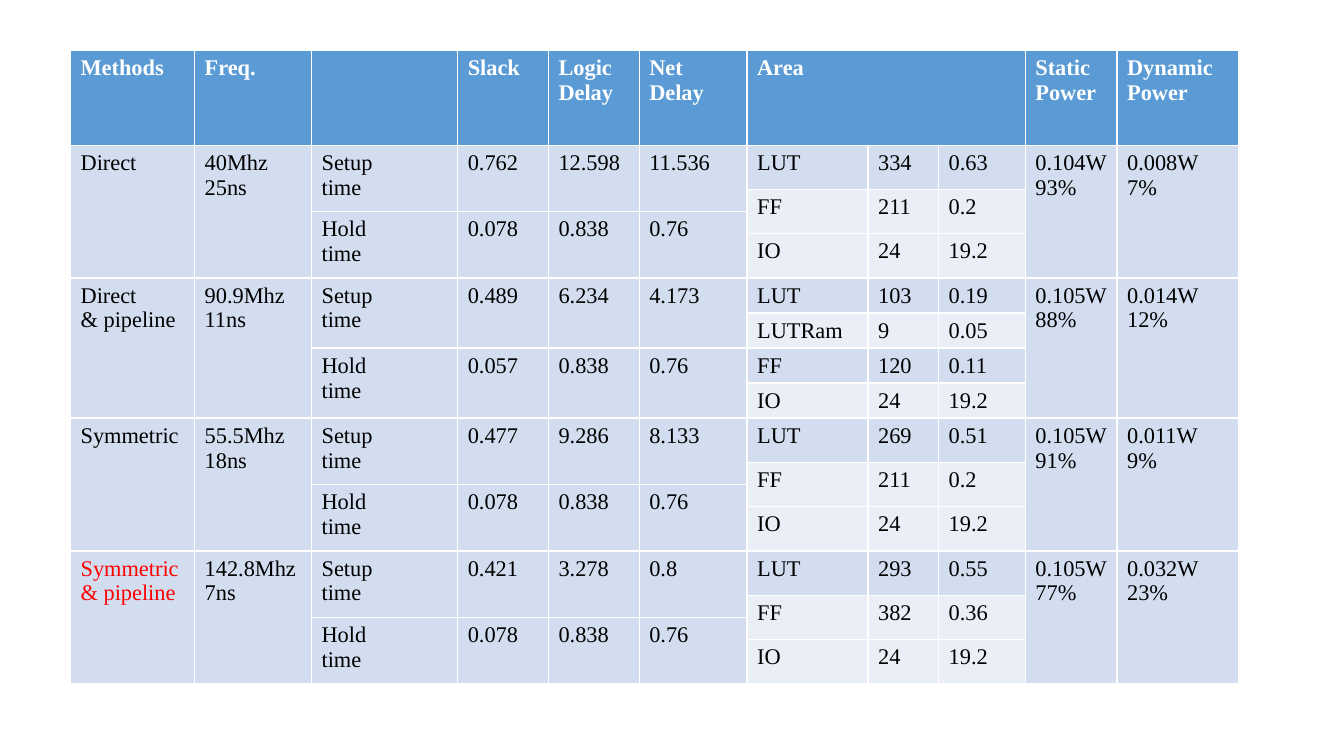
import pptx
import pptx.dml.color
import pptx.util

Inches = pptx.util.Inches

COLORS = {"header": "5B9BD5", "band": "D2DEEF", "light": "EAEFF7",
          "white": "FFFFFF", "black": "000000", "red": "FF0000"}

COLUMN_WIDTHS = [1.23, 1.16, 1.45, 0.9, 0.9, 1.07, 1.2, 0.7, 0.86, 0.91, 1.21]
HEADER_HEIGHT = 0.94
THREE_AREA_HEIGHTS = [0.44, 0.22, 0.22, 0.44]
FOUR_AREA_HEIGHTS = [0.33] * 4
ROWS_PER_METHOD = 4
AREA_COLUMN = 6

HEADERS = {0: "Methods", 1: "Freq.", 2: "", 3: "Slack", 4: "Logic\nDelay",
           5: "Net\nDelay", 6: "Area", 9: "Static\nPower", 10: "Dynamic\nPower"}

# Method, frequency, setup timings, hold timings, area rows, static and dynamic power
METHODS = [
    ("Direct", "40Mhz\n25ns",
     ["0.762", "12.598", "11.536"], ["0.078", "0.838", "0.76"],
     [("LUT", "334", "0.63"), ("FF", "211", "0.2"), ("IO", "24", "19.2")],
     "0.104W\n93%", "0.008W\n7%"),
    ("Direct\n& pipeline", "90.9Mhz\n11ns",
     ["0.489", "6.234", "4.173"], ["0.057", "0.838", "0.76"],
     [("LUT", "103", "0.19"), ("LUTRam", "9", "0.05"),
      ("FF", "120", "0.11"), ("IO", "24", "19.2")],
     "0.105W\n88%", "0.014W\n12%"),
    ("Symmetric", "55.5Mhz\n18ns",
     ["0.477", "9.286", "8.133"], ["0.078", "0.838", "0.76"],
     [("LUT", "269", "0.51"), ("FF", "211", "0.2"), ("IO", "24", "19.2")],
     "0.105W\n91%", "0.011W\n9%"),
    ("Symmetric & pipeline", "142.8Mhz\n7ns",
     ["0.421", "3.278", "0.8"], ["0.078", "0.838", "0.76"],
     [("LUT", "293", "0.55"), ("FF", "382", "0.36"), ("IO", "24", "19.2")],
     "0.105W\n77%", "0.032W\n23%"),
]
HIGHLIGHTED_METHOD = "Symmetric & pipeline"


def rgb(name):
    return pptx.dml.color.RGBColor.from_string(COLORS[name])


def fill_cell(table, row, column, text, fill="band", color="black",
              bold=False, rows=1, columns=1):
    """Write one cell, merged over the given number of rows and columns."""
    cell = table.cell(row, column)
    if rows > 1 or columns > 1:
        cell.merge(table.cell(row + rows - 1, column + columns - 1))
    cell.fill.solid()
    cell.fill.fore_color.rgb = rgb(fill)
    cell.text = text
    for paragraph in cell.text_frame.paragraphs:
        font = paragraph.font
        font.name = "Times New Roman"
        font.size = pptx.util.Pt(16)
        font.bold = bold
        font.color.rgb = rgb(color)


def add_header(table):
    for column, text in HEADERS.items():
        fill_cell(table, 0, column, text, "header", "white", bold=True,
                  columns=3 if text == "Area" else 1)


def add_method(table, top, record):
    method, frequency, setup, hold, areas, static, dynamic = record

    # Cells as tall as the whole method
    method_color = "red" if method == HIGHLIGHTED_METHOD else "black"
    fill_cell(table, top, 0, method, color=method_color, rows=ROWS_PER_METHOD)
    for column, text in ((1, frequency), (9, static), (10, dynamic)):
        fill_cell(table, top, column, text, rows=ROWS_PER_METHOD)

    # Setup and hold timings, half a method each
    timings = (["Setup\ntime"] + setup, ["Hold\ntime"] + hold)
    for half, timing in enumerate(timings):
        for column, text in enumerate(timing, start=2):
            fill_cell(table, top + 2 * half, column, text, rows=2)

    # Area rows: with three of them, the middle one takes two table rows
    spans = [1, 2, 1] if len(areas) == 3 else [1] * 4
    row = top
    for area, span in zip(areas, spans):
        fill = "band" if (row - top) % 2 == 0 else "light"
        for column, text in enumerate(area, start=AREA_COLUMN):
            fill_cell(table, row, column, text, fill, rows=span)
        row += span


def add_comparison_table(page):
    heights = [HEADER_HEIGHT]
    for record in METHODS:
        heights += THREE_AREA_HEIGHTS if len(record[4]) == 3 else FOUR_AREA_HEIGHTS
    frame = page.shapes.add_table(
        len(heights), len(COLUMN_WIDTHS), Inches(0.7), Inches(0.5),
        Inches(sum(COLUMN_WIDTHS)), Inches(sum(heights)))
    table = frame.table
    # The default table style supplies the white cell borders
    table.horz_banding = False
    for column, width in zip(table.columns, COLUMN_WIDTHS):
        column.width = Inches(width)
    for row, height in zip(table.rows, heights):
        row.height = Inches(height)

    add_header(table)
    for index, record in enumerate(METHODS):
        add_method(table, 1 + index * ROWS_PER_METHOD, record)


def main():
    deck = pptx.Presentation()
    deck.slide_width = Inches(13.33)
    deck.slide_height = Inches(7.5)
    page = deck.slides.add_slide(deck.slide_layouts[6])
    add_comparison_table(page)
    deck.save("out.pptx")


main()
